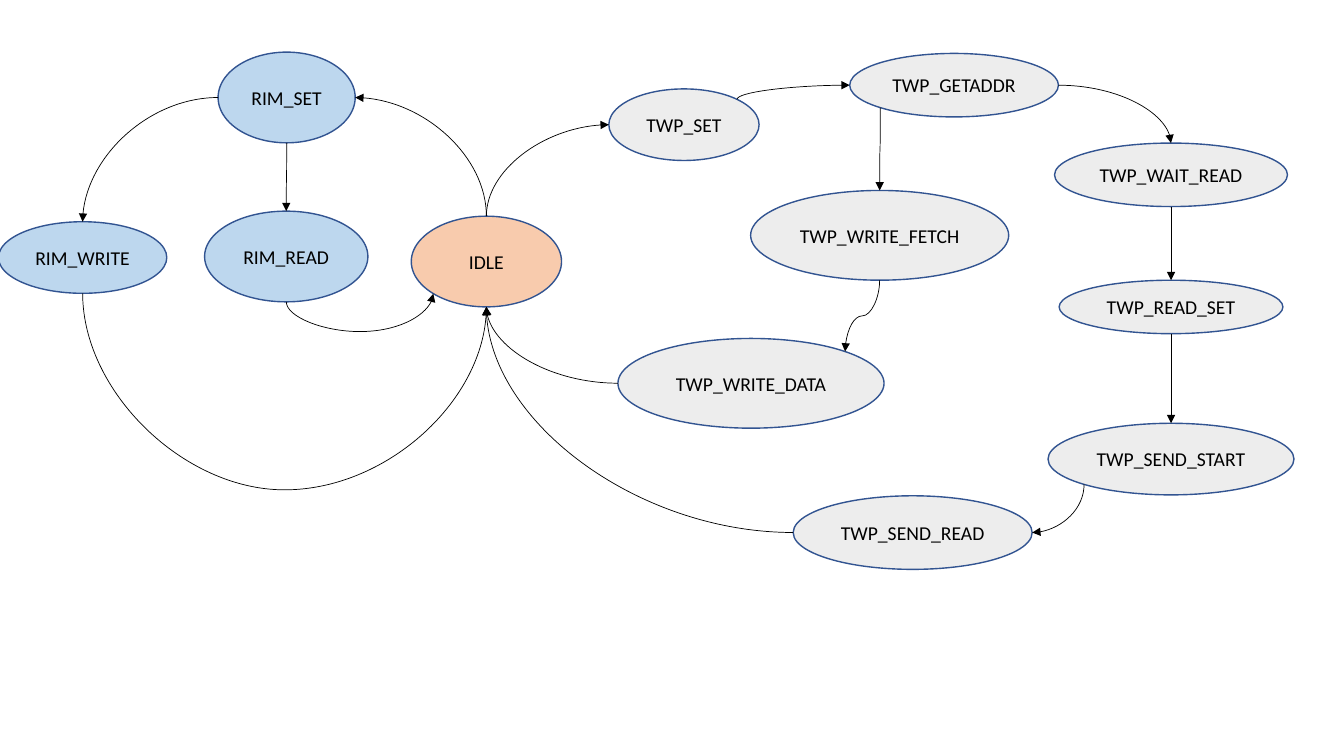
import math

import pptx
import pptx.dml.color
import pptx.enum.shapes
import pptx.enum.text
import pptx.oxml
import pptx.oxml.ns
import pptx.util
from lxml import etree

RGBColor = pptx.dml.color.RGBColor
ORANGE = RGBColor(0xF8, 0xCB, 0xAD)
BLUE = RGBColor(0xBD, 0xD7, 0xEE)
GREY = RGBColor(0xED, 0xED, 0xED)
OUTLINE = RGBColor(0x32, 0x54, 0x91)
BLACK = RGBColor(0, 0, 0)

# Connection sites of an ellipse, counter-clockwise from the top
SITES = ["top", "top left", "left", "bottom left",
         "bottom", "bottom right", "right", "top right"]

READ_COLUMN = 87.13

# Name, fill, then centre x, centre y, width and height in percent of the slide
STATES = [
    ("IDLE", ORANGE, 36.19, 34.6, 11.18, 12),
    ("RIM_SET", BLUE, 21.33, 12.9, 10.2, 12),
    ("RIM_READ", BLUE, 21.3, 33.93, 12.15, 12),
    ("RIM_WRITE", BLUE, 6.15, 34.07, 12.53, 9.47),
    ("TWP_SET", GREY, 50.89, 16.5, 11.18, 9.47),
    ("TWP_GETADDR", GREY, 70.99, 11.27, 15.53, 8.4),
    ("TWP_WRITE_FETCH", GREY, 65.45, 31.13, 19.2, 11.87),
    ("TWP_WRITE_DATA", GREY, 55.88, 50.7, 19.8, 11.87),
    ("TWP_WAIT_READ", GREY, READ_COLUMN, 23.13, 17.33, 8.4),
    ("TWP_READ_SET", GREY, READ_COLUMN, 40.6, 16.65, 7.07),
    ("TWP_SEND_START", GREY, READ_COLUMN, 60.73, 18.3, 9.47),
    ("TWP_SEND_READ", GREY, 67.91, 70.45, 17.78, 9.73),
]

# From state and site, to state and site, height of the bend in percent;
# arrows without a bend that is None turn a single corner
MIDWAY = "midway"
TRANSITIONS = [
    ("IDLE", "top", "RIM_SET", "right", None),
    ("RIM_SET", "left", "RIM_WRITE", "top", None),
    ("RIM_SET", "bottom", "RIM_READ", "top", MIDWAY),
    ("RIM_WRITE", "bottom", "IDLE", "bottom", 64.8),
    ("RIM_READ", "bottom", "IDLE", "bottom left", 43.87),
    ("IDLE", "top", "TWP_SET", "left", None),
    ("TWP_SET", "top right", "TWP_GETADDR", "left", None),
    ("TWP_GETADDR", "bottom left", "TWP_WRITE_FETCH", "top", MIDWAY),
    ("TWP_GETADDR", "right", "TWP_WAIT_READ", "top", None),
    ("TWP_WAIT_READ", "bottom", "TWP_READ_SET", "top", MIDWAY),
    ("TWP_READ_SET", "bottom", "TWP_SEND_START", "top", MIDWAY),
    ("TWP_SEND_START", "bottom left", "TWP_SEND_READ", "right", None),
    ("TWP_SEND_READ", "left", "IDLE", "bottom", None),
    ("TWP_WRITE_FETCH", "bottom", "TWP_WRITE_DATA", "top right", MIDWAY),
    ("TWP_WRITE_DATA", "left", "IDLE", "bottom", None),
]


class StateDiagram:
    """Draws states and transitions; lengths are percents of the slide."""

    font_name = "Calibri"
    font_size = pptx.util.Pt(14)

    def __init__(self, presentation):
        self.width = presentation.slide_width
        self.height = presentation.slide_height
        self.slide = presentation.slides.add_slide(presentation.slide_layouts[6])
        self.states = {}

    def across(self, percent):
        return round(self.width * percent / 100)

    def down(self, percent):
        return round(self.height * percent / 100)

    def state(self, name, fill, x, y, width, height):
        shape = self.slide.shapes.add_shape(
            pptx.enum.shapes.MSO_SHAPE.OVAL,
            self.across(x - width / 2), self.down(y - height / 2),
            self.across(width), self.down(height))
        shape.shadow.inherit = False
        shape.fill.solid()
        shape.fill.fore_color.rgb = fill
        shape.line.color.rgb = OUTLINE
        shape.line.width = pptx.util.Pt(1)
        frame = shape.text_frame
        frame.margin_left = frame.margin_right = 0
        frame.word_wrap = True
        frame.vertical_anchor = pptx.enum.text.MSO_ANCHOR.MIDDLE
        paragraph = frame.paragraphs[0]
        paragraph.text = name
        paragraph.alignment = pptx.enum.text.PP_ALIGN.CENTER
        paragraph.font.name = self.font_name
        paragraph.font.size = self.font_size
        paragraph.font.color.rgb = BLACK
        self.states[name] = shape

    def site_point(self, shape, site):
        angle = SITES.index(site) * math.pi / 4
        x = shape.left + shape.width / 2 * (1 - math.sin(angle))
        y = shape.top + shape.height / 2 * (1 - math.cos(angle))
        return round(x), round(y)

    def transition(self, source, source_site, target, target_site, bend):
        x1, y1 = self.site_point(self.states[source], source_site)
        x2, y2 = self.site_point(self.states[target], target_site)
        connector = self.slide.shapes.add_connector(
            pptx.enum.shapes.MSO_CONNECTOR.CURVE, x1, y1, x2, y2)
        connector.line.color.rgb = BLACK
        connector.line.width = pptx.util.Pt(0.5)
        qn = pptx.oxml.ns.qn
        properties = connector.element.spPr

        # A curve that leaves vertically is a quarter-turned one
        if source_site not in ("left", "right"):
            length, breadth = abs(y2 - y1), abs(x2 - x1)
            connector.left = round((x1 + x2 - length) / 2)
            connector.top = round((y1 + y2 - breadth) / 2)
            connector.width, connector.height = length, breadth
            frame = properties.find(qn("a:xfrm"))
            frame.set("rot", "5400000")
            frame.set("flipH", str(int(y2 < y1)))
            frame.set("flipV", str(int(x2 > x1)))

        # One corner, or two with a bend between them
        geometry = properties.find(qn("a:prstGeom"))
        if bend is None:
            geometry.set("prst", "curvedConnector2")
        else:
            share = 0.5 if bend == MIDWAY else (self.down(bend) - y1) / (y2 - y1)
            etree.SubElement(geometry.find(qn("a:avLst")), qn("a:gd"),
                             name="adj1", fmla=f"val {round(share * 100000)}")

        # Arrowhead, no shadow, and joints at both states
        etree.SubElement(properties.find(qn("a:ln")), qn("a:tailEnd"), type="triangle")
        etree.SubElement(properties, qn("a:effectLst"))
        joints = next(connector.element.iter(qn("p:cNvCxnSpPr")))
        for tag, name, site in (("a:stCxn", source, source_site),
                                ("a:endCxn", target, target_site)):
            etree.SubElement(joints, qn(tag), id=str(self.states[name].shape_id),
                             idx=str(SITES.index(site)))


def main():
    presentation = pptx.Presentation()
    presentation.slide_width = pptx.util.Inches(13.33)
    presentation.slide_height = pptx.util.Inches(7.5)
    diagram = StateDiagram(presentation)
    for state in STATES:
        diagram.state(*state)
    for transition in TRANSITIONS:
        diagram.transition(*transition)
    presentation.save("out.pptx")


if __name__ == "__main__":
    main()
